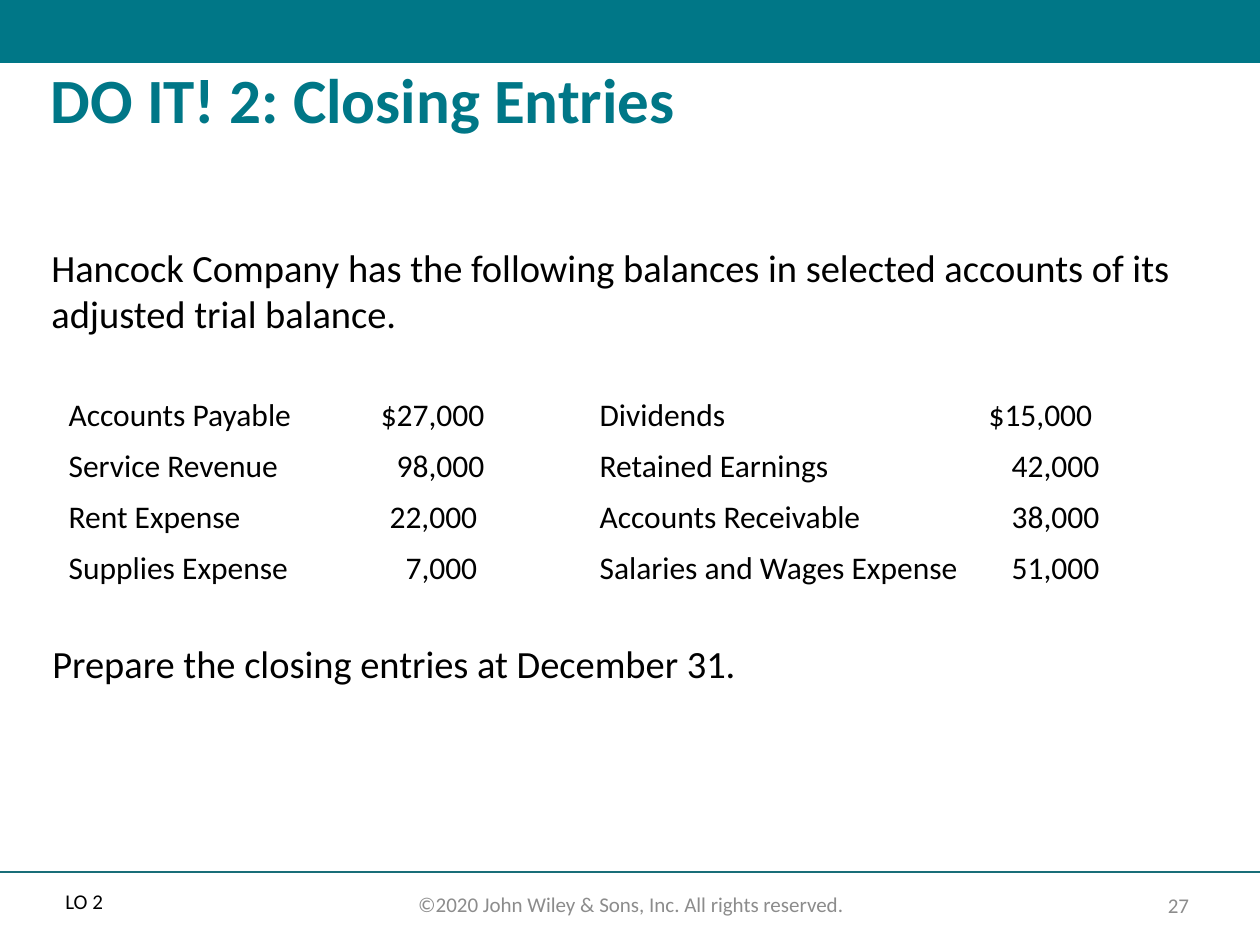
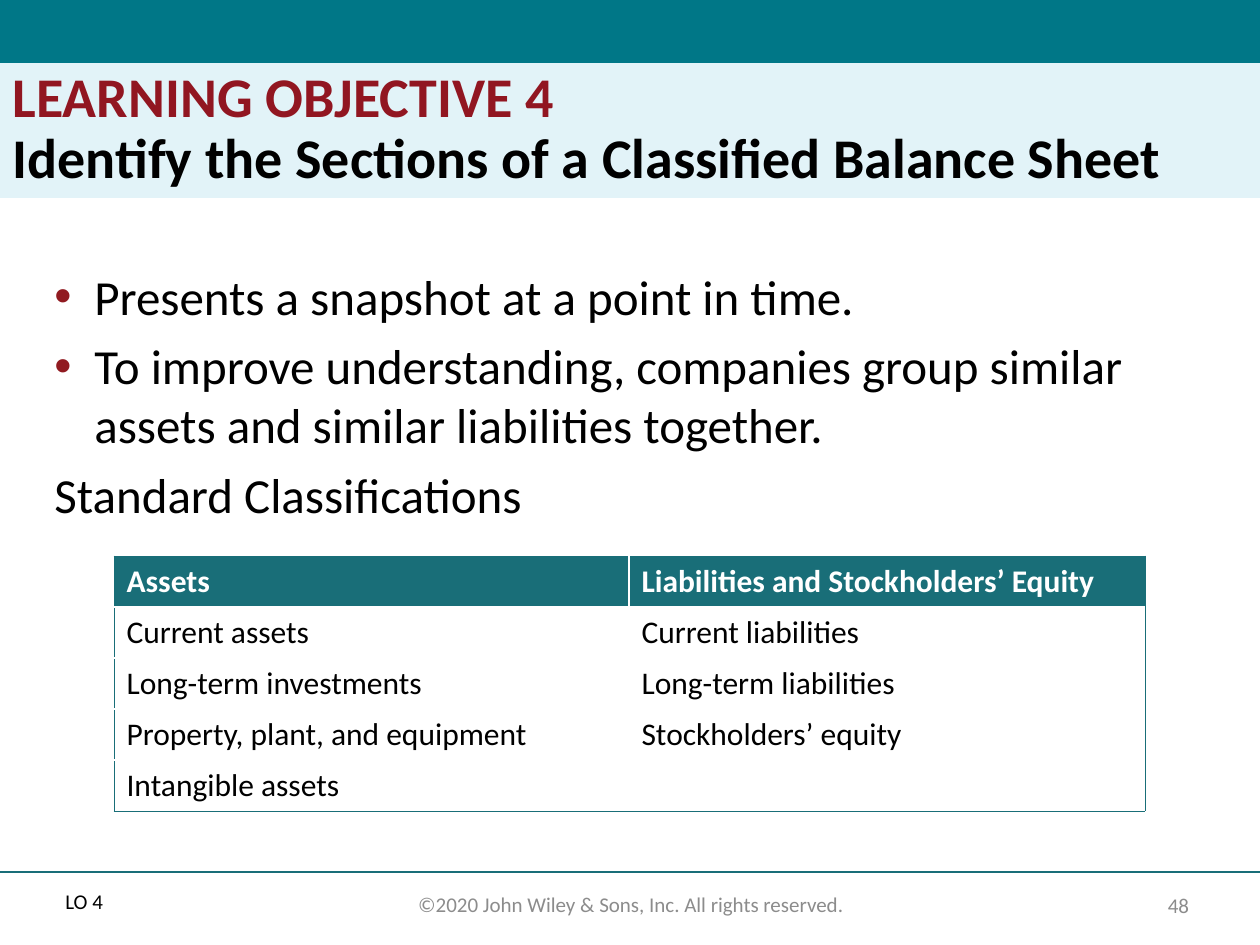
from lxml.etree import SubElement
from pptx import Presentation
from pptx.dml.color import RGBColor
from pptx.enum.shapes import MSO_CONNECTOR, MSO_SHAPE
from pptx.enum.text import MSO_ANCHOR as ANCHOR, MSO_AUTO_SIZE as AUTO, PP_ALIGN as ALIGN
from pptx.oxml.ns import qn
from pptx.util import Emu, Pt

# Content
CLOSING = {
    "number": "27", "objective": "LO 2",
    "title": [("DO IT! 2: Closing Entries", "007787")],
    "intro": "Hancock Company has the following balances in selected accounts "
             "of its adjusted trial balance.",
    "left": [("Accounts Payable", "$27,000"), ("Service Revenue", "98,000"),
             ("Rent Expense", "22,000 "), ("Supplies Expense", "7,000 ")],
    "right": [("Dividends", "$15,000 "), ("Retained Earnings", "42,000"),
              ("Accounts Receivable", "38,000"), ("Salaries and Wages Expense", "51,000")],
    "task": "Prepare the closing entries at December 31.",
}
SECTIONS = {
    "number": "48", "objective": "LO 4",
    "title": [("LEARNING OBJECTIVE 4", "911621"),
              ("Identify the Sections of a Classified Balance Sheet", "000000")],
    "points": [("Presents a snapshot at a point in time.", True),
               ("To improve understanding, companies group similar assets and "
                "similar liabilities together.", True),
               ("Standard Classifications", False)],
    "table": [("Assets", "Liabilities and Stockholders’ Equity"),
              ("Current assets", "Current liabilities"),
              ("Long-term investments", "Long-term liabilities"),
              ("Property, plant, and equipment", "Stockholders’ equity"),
              ("Intangible assets", "")],
}
COPYRIGHT = "©2020 John Wiley & Sons, Inc. All rights reserved."

# Shared style
FONT = "Calibri"
BAND, RULE, PALE, GRAY = "007787", "196E78", "E2F3F8", "8C8C8C"
BLACK, WHITE, BULLET = "000000", "FFFFFF", "911B21"
WIDTH, HEIGHT, BAND_H, RULE_Y = 1260, 945, 63, 872
ROW_H, INDENT = 51, 40


def px(n):
    return Emu(round(n * 914400 / 126))


def rgb(color):
    return RGBColor.from_string(color)


def set_all(obj, values):
    for name, value in values.items():
        setattr(obj, name, value)


def add_run(p, text, size, color=BLACK, bold=False):
    r = p.add_run()
    r.text = text
    set_all(r.font, {"name": FONT, "size": Pt(size), "bold": bold})
    r.font.color.rgb = rgb(color)


def add_text(s, box, text, size, color=BLACK, anchor=ANCHOR.TOP, **paragraph):
    tf = s.shapes.add_textbox(*map(px, box)).text_frame
    set_all(tf, {"word_wrap": True, "vertical_anchor": anchor})
    p = tf.paragraphs[0]
    set_all(p, paragraph)
    add_run(p, text, size, color)


def add_title(s, lines, box, size, fill=None):
    title = s.shapes.title
    set_all(title, dict(zip(("left", "top", "width", "height"), map(px, box))))
    if fill:
        title.fill.solid()
        title.fill.fore_color.rgb = rgb(fill)
    tf = title.text_frame
    set_all(tf, {"word_wrap": True, "auto_size": AUTO.NONE, "vertical_anchor": ANCHOR.TOP})
    p = tf.paragraphs[0]
    set_all(p, {"alignment": ALIGN.LEFT, "line_spacing": 0.9})
    for i, (text, color) in enumerate(lines):
        if i:
            p.add_line_break()
        add_run(p, text, size, color, True)


def add_bullet(p):
    pPr = p._p.get_or_add_pPr()
    pPr.set("marL", str(px(INDENT)))
    pPr.set("indent", str(-px(INDENT)))
    SubElement(SubElement(pPr, qn("a:buClr")), qn("a:srgbClr"), val=BULLET)
    SubElement(pPr, qn("a:buFont"), typeface="Arial")
    SubElement(pPr, qn("a:buChar"), char="•")


def add_border(cell, sides):
    tcPr = cell._tc.get_or_add_tcPr()
    for i, side in enumerate(sides):
        ln = SubElement(tcPr, qn("a:ln" + side), w=str(Pt(0.5)))
        SubElement(SubElement(ln, qn("a:solidFill")), qn("a:srgbClr"), val=RULE)
        tcPr.insert(i, ln)


def add_grid(s, x, y, widths, rows, header=False, amounts=False, outlined=False):
    last_row, last_col = len(rows) - 1, len(widths) - 1
    frame = s.shapes.add_table(len(rows), len(widths), px(x), px(y),
                               px(sum(widths)), px(ROW_H * len(rows)))
    table = frame.table
    set_all(table, {"first_row": False, "horz_banding": False})
    for column, width in zip(table.columns, widths):
        column.width = px(width)
    for i, row in enumerate(rows):
        table.rows[i].height = px(ROW_H)
        for j, text in enumerate(row):
            cell = table.cell(i, j)
            head = header and i == 0
            if head:
                cell.fill.solid()
                cell.fill.fore_color.rgb = rgb(RULE)
            else:
                cell.fill.background()
            p = cell.text_frame.paragraphs[0]
            if amounts and j == last_col:
                p.alignment = ALIGN.RIGHT
            if text:
                add_run(p, text, 18, WHITE if head else BLACK, head)
            if outlined:
                edges = {"L": j == 0, "R": j == last_col, "T": i == 0, "B": i == last_row}
                add_border(cell, [side for side, outer in edges.items() if outer])


def new_slide(prs, content):
    """Slide with the top band, footer rule and footer texts."""
    s = prs.slides.add_slide(prs.slide_layouts[5])
    band = s.shapes.add_shape(MSO_SHAPE.RECTANGLE, 0, 0, px(WIDTH), px(BAND_H))
    band.shadow.inherit = False
    band.fill.solid()
    band.fill.fore_color.rgb = rgb(BAND)
    band.line.fill.background()
    rule = s.shapes.add_connector(MSO_CONNECTOR.STRAIGHT, 0, px(RULE_Y), px(WIDTH), px(RULE_Y))
    rule.line.color.rgb = rgb(RULE)
    rule.line.width = Pt(1)
    SubElement(rule._element.spPr, qn("a:effectLst"))
    add_text(s, (1140, 887, 77, 36), content["number"], 12, GRAY, ANCHOR.MIDDLE,
             alignment=ALIGN.CENTER)
    add_text(s, (383, 885, 496, 38), COPYRIGHT, 12, GRAY, alignment=ALIGN.CENTER)
    add_text(s, (53, 885, 77, 38), content["objective"], 12, line_spacing=0.9)
    return s


def closing_slide(prs):
    s = new_slide(prs, CLOSING)
    add_title(s, CLOSING["title"], (38, BAND_H, 1177, 135), 36)
    add_text(s, (39, 238, 1176, 101), CLOSING["intro"], 22)
    add_grid(s, 56, 390, (294, 147), CLOSING["left"], amounts=True)
    add_grid(s, 587, 390, (388, 137), CLOSING["right"], amounts=True)
    add_text(s, (40, 634, 1176, 57), CLOSING["task"], 22)


def sections_slide(prs):
    s = new_slide(prs, SECTIONS)
    add_title(s, SECTIONS["title"], (0, BAND_H, WIDTH, 135), 32, PALE)
    tf = s.shapes.add_textbox(*map(px, (42, 260, 1176, 268))).text_frame
    tf.word_wrap = True
    for i, (text, bulleted) in enumerate(SECTIONS["points"]):
        p = tf.add_paragraph() if i else tf.paragraphs[0]
        if bulleted:
            add_bullet(p)
        if i:
            p.space_before = Pt(6.2)
        add_run(p, text, 28)
    add_grid(s, 114, 556, (515, 516), SECTIONS["table"], header=True, outlined=True)


def main():
    prs = Presentation()
    set_all(prs, {"slide_width": px(WIDTH), "slide_height": px(HEIGHT)})
    closing_slide(prs)
    sections_slide(prs)
    prs.save("out.pptx")


if __name__ == "__main__":
    main()
